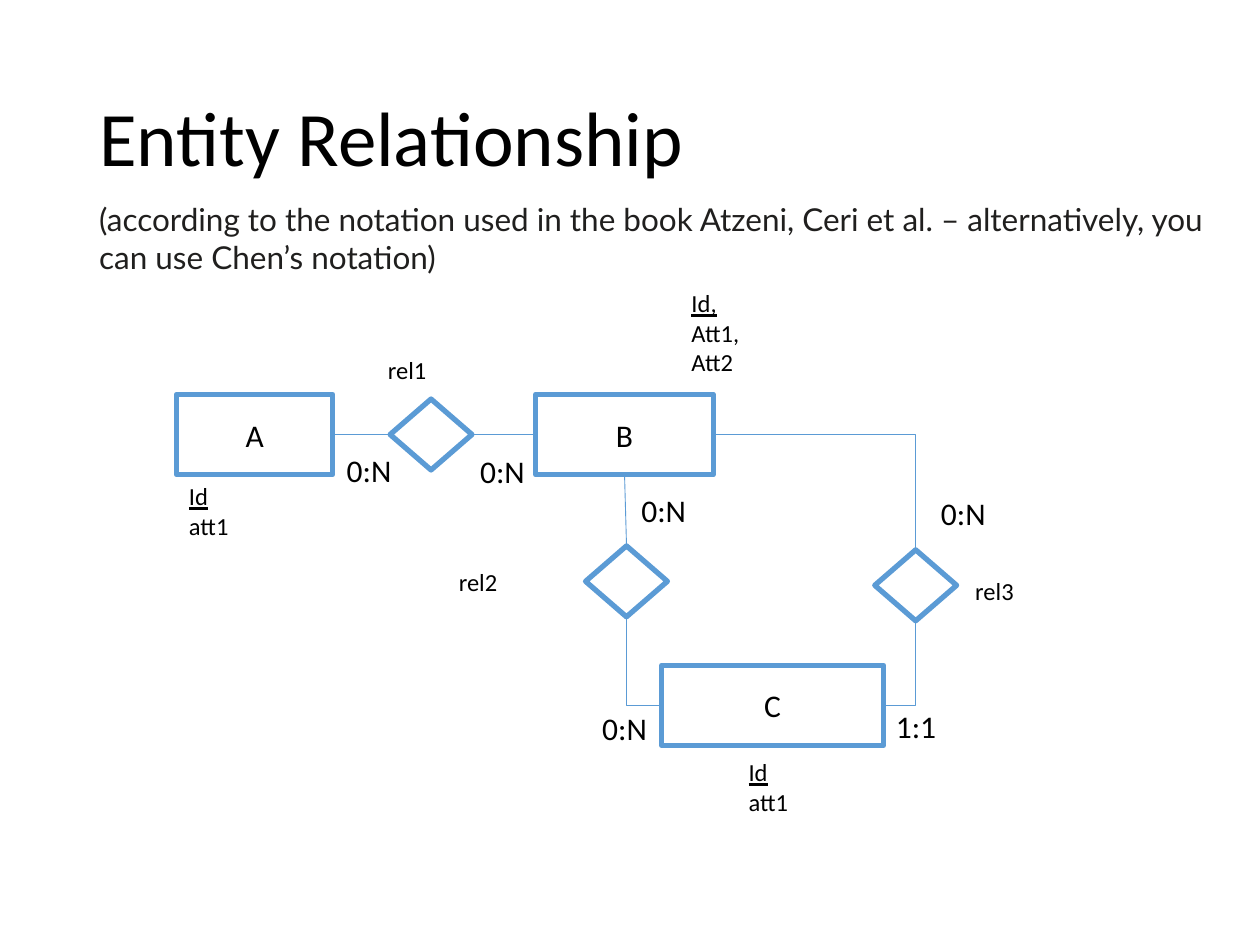
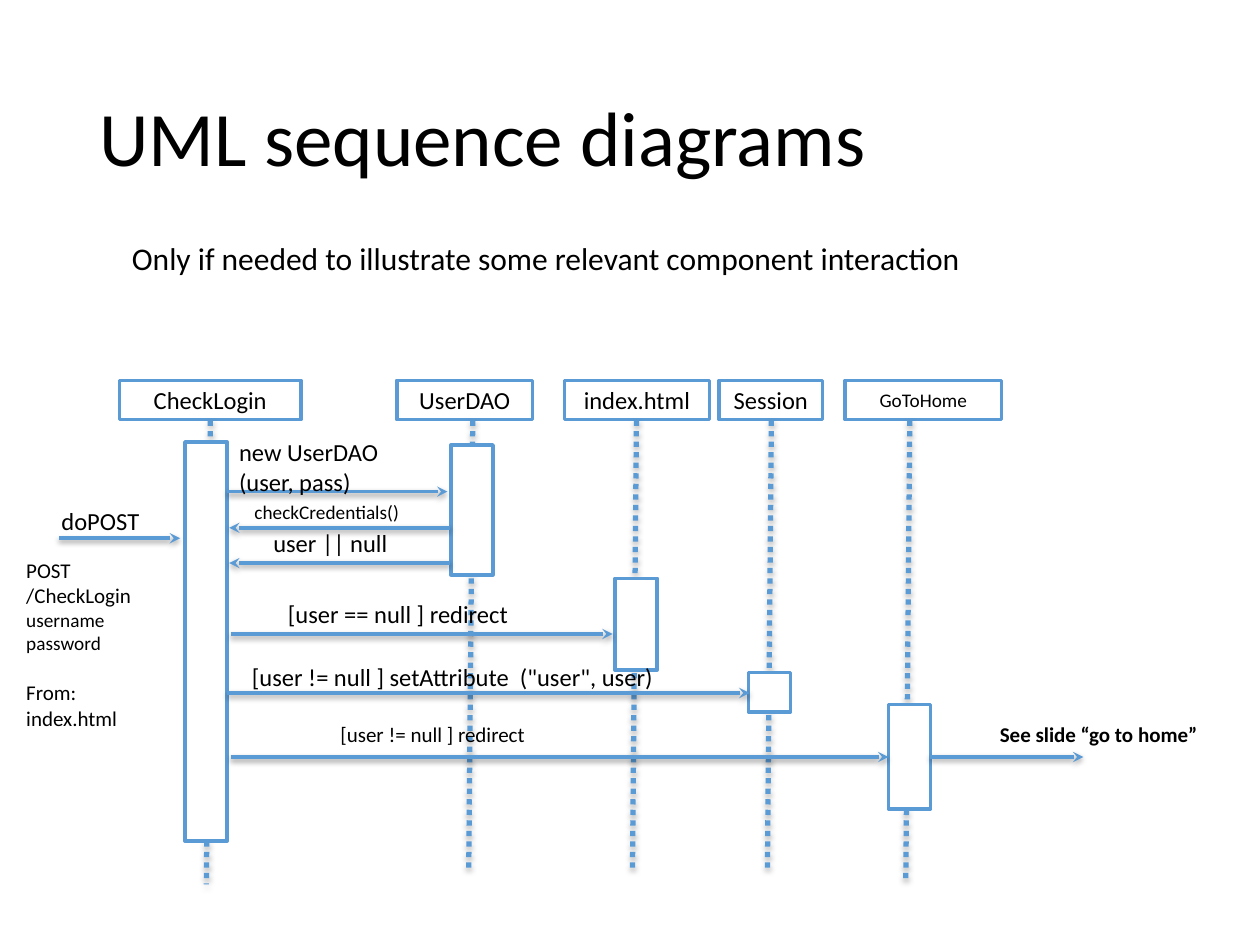
from lxml.etree import SubElement as Sub
from pptx import Presentation
from pptx.dml.color import RGBColor
from pptx.enum.dml import MSO_LINE as Dash
from pptx.enum.shapes import MSO_CONNECTOR as Link, MSO_SHAPE as Form
from pptx.enum.text import MSO_ANCHOR as Anchor, PP_ALIGN as Align
from pptx.oxml.ns import qn
from pptx.util import Cm, Pt

BLUE, BLACK, WHITE, DARK = "5B9BD5", "000000", "FFFFFF", "201F1E"
TOP, LEFT, BASE, RIGHT = range(4)  # connection sites
BAR = 0.85


def color(code):
    """Turn a hex string into a colour."""
    return RGBColor.from_string(code)


def write(shape, lines, size=18, font="Calibri", ink=BLACK, bold=False,
          under=False, align=Align.LEFT, anchor=Anchor.TOP, wrap=True,
          gap=0, space=None):
    """Fill a shape with paragraphs; a line may be (text, own format)."""
    frame = shape.text_frame
    frame.word_wrap = wrap
    frame.vertical_anchor = anchor
    for i, line in enumerate([lines] if isinstance(lines, str) else lines):
        text, own = (line, {}) if isinstance(line, str) else line
        para = frame.paragraphs[0] if i == 0 else frame.add_paragraph()
        para.text = text
        para.alignment = align
        para.space_before = Pt(own.get("gap", gap))
        if space:
            para.line_spacing = space
        for run in para.runs:
            run.font.name = font
            run.font.size = Pt(own.get("size", size))
            run.font.bold = bold
            run.font.underline = own.get("under", under)
            run.font.color.rgb = color(ink)


def label(slide, x, y, w, h, lines, **form):
    """Add a text box."""
    write(slide.shapes.add_textbox(Cm(x), Cm(y), Cm(w), Cm(h)), lines, **form)


def block(slide, x, y, w, h, text="", form=Form.RECTANGLE, line=2, size=18):
    """Add a white shape with a blue outline and centred text."""
    shape = slide.shapes.add_shape(form, Cm(x), Cm(y), Cm(w), Cm(h))
    shape.shadow.inherit = False
    shape.fill.solid()
    shape.fill.fore_color.rgb = color(WHITE)
    shape.line.color.rgb = color(BLUE)
    shape.line.width = Pt(line)
    if text:
        write(shape, text, size=size, align=Align.CENTER, anchor=Anchor.MIDDLE)
    return shape


def stroke(slide, x1, y1, x2, y2, width, kind=Link.STRAIGHT):
    """Add a blue connector without shadow; return it and its effect list."""
    link = slide.shapes.add_connector(kind, Cm(x1), Cm(y1), Cm(x2), Cm(y2))
    link.line.color.rgb = color(BLUE)
    link.line.width = Pt(width)
    return link, Sub(link._element.spPr, qn("a:effectLst"))


def shade(effects, dist, alpha):
    """Put a soft shadow below a line."""
    outer = Sub(effects, qn("a:outerShdw"), blurRad="40000", dist=str(dist),
                dir="5400000", rotWithShape="0")
    tint = Sub(outer, qn("a:srgbClr"), val=BLACK)
    Sub(tint, qn("a:alpha"), val=str(alpha * 1000))


def wire(slide, start, site, end, goal, bent=False):
    """Join two shapes at their sites, straight or with one corner."""
    link, _ = stroke(slide, 0, 0, 0, 0, 0.5,
                     Link.ELBOW if bent else Link.STRAIGHT)
    link.begin_connect(start, site)
    link.end_connect(end, goal)
    if bent:
        geom = link._element.spPr.find(qn("a:prstGeom"))
        geom.set("prst", "bentConnector2")


def arrow(slide, x1, x2, y):
    """Draw a level message arrow."""
    link, effects = stroke(slide, x1, y, x2, y, 2)
    Sub(link.line._get_or_add_ln(), qn("a:tailEnd"), type="stealth")
    shade(effects, 20000, 38)


def page(deck, title):
    """Add a slide with the shared title style."""
    slide = deck.slides.add_slide(deck.slide_layouts[5])
    head = slide.shapes.title
    head.left, head.top = Cm(1.75), Cm(1.02)
    head.width, head.height = Cm(21.89), Cm(3.68)
    write(head, title, size=44, anchor=Anchor.MIDDLE, space=0.9)
    return slide


def model(slide, left, top):
    """Draw the entity relationship diagram from its top left entity."""
    def entity(name, x, y, w):
        return block(slide, left + x, top + y, w, 1.62, name, line=3)

    def relation(x, y):
        w, h = 1.65, 1.43
        return block(slide, left + x - w / 2, top + y - h / 2, w, h,
                     form=Form.DIAMOND, line=3)

    a = entity("A", 0, 0, 3.15)
    b = entity("B", 7.24, 0, 3.58)
    c = entity("C", 9.78, 5.46, 4.47)
    rel1, rel2, rel3 = [relation(x, y) for x, y in
                        ((5.13, 0.81), (9.07, 3.77), (14.9, 3.85))]
    wire(slide, a, RIGHT, rel1, LEFT)
    wire(slide, rel1, RIGHT, b, LEFT)
    wire(slide, b, BASE, rel2, TOP)
    wire(slide, c, LEFT, rel2, BASE, bent=True)
    wire(slide, b, RIGHT, rel3, TOP, bent=True)
    wire(slide, c, RIGHT, rel3, BASE, bent=True)

    for text, x, y in (("0:N", 3.18, 1.02), ("0:N", 5.87, 1.04),
                       ("0:N", 9.12, 1.83), ("0:N", 8.33, 6.22),
                       ("0:N", 15.16, 1.88), ("1:1", 14.25, 6.17)):
        label(slide, left + x, top + y, 1.42, 1.02, text, wrap=False)
    for text, x, y in (("rel1", 4.01, -0.91), ("rel2", 5.44, 3.35),
                       ("rel3", 15.85, 3.53)):
        label(slide, left + x, top + y, 1.3, 0.86, text, size=14, wrap=False)
    for key, rest, x, y, w, h in (
            ("Id", ["att1"], 0, 1.63, 2.79, 1.45),
            ("Id,", ["Att1,", "Att2"], 10.13, -2.26, 4.93, 2.64),
            ("Id", ["att1"], 11.28, 7.19, 2.79, 1.45)):
        label(slide, left + x, top + y, w, h,
              [(key, {"under": True})] + rest, size=14)


def actor(slide, left, top, name, x, w, size, life, end, bar, y, h):
    """Draw one participant: head, dotted lifeline and activity bar."""
    block(slide, left + x, top, w, 0.79, name, size=size)
    link, effects = stroke(slide, left + life, top + 0.81,
                           left + life - 0.08, top + end, 3)
    link.line.dash_style = Dash.ROUND_DOT
    shade(effects, 23000, 35)
    block(slide, left + bar, top + y, BAR, h)


def sequence(slide, left, top):
    """Draw the sequence diagram from its top left corner."""
    for part in (
            ("CheckLogin", 2.13, 3.66, 14, 3.96, 10.16, 3.45, 1.24, 8.05),
            ("UserDAO", 7.72, 2.74, 14, 9.25, 9.86, 8.81, 1.3, 2.62),
            ("index.html", 11.1, 2.92, 14, 12.55, 9.86, 12.12, 3.99, 1.85),
            ("Session", 14.22, 2.08, 14, 15.27, 9.86, 14.81, 5.89, 0.79),
            ("GoToHome", 16.76, 3.15, 11, 18.06, 10.06, 17.63, 6.53, 2.11)):
        actor(slide, left, top, *part)

    mid = {"align": Align.CENTER}
    small = {"size": 12, **mid}
    # text, arrow start, end and height, label left, top and width, format
    for text, x1, x2, y, x, rise, w, form in (
            ("doPOST", 0.91, 3.35, 3.18, 0.71, 2.41, 2.54, {}),
            ("new UserDAO\v(user, pass)", 4.29, 8.74, 2.24,
             4.29, 1.02, 4.78, {}),
            ("checkCredentials()", 8.79, 4.34, 2.97,
             4.6, 2.29, 4.47, {"size": 11}),
            ("user || null", 8.79, 4.34, 3.68, 4.98, 2.84, 3.15, {}),
            ("[user == null ] redirect", 4.37, 12.07, 5.11,
             4.8, 4.29, 5.89, mid),
            ("[user != null ] setAttribute  (\"user\", user)",
             4.29, 14.83, 6.3, 4.55, 5.56, 8.66, {}),
            ("[user != null ] redirect", 4.37, 17.63, 7.59,
             4.47, 6.76, 7.95, small),
            ("See slide “go to home”", 18.47, 21.56, 7.59,
             18.72, 6.76, 6.3, {"bold": True, **small})):
        arrow(slide, left + x1, left + x2, top + y)
        label(slide, left + x, top + rise, w, 0.76, text,
              **{"size": 14, **form})

    label(slide, left, top + 3.45, 3.35, 5.87,
          ["POST", "/CheckLogin", ("username", {"size": 11}),
           ("password", {"size": 11}), ("From: index.html", {"gap": 14.6})],
          size=12)


deck = Presentation()
deck.slide_width, deck.slide_height = Cm(25.4), Cm(19.05)

slide = page(deck, "Entity Relationship")
label(slide, 1.75, 3.91, 22.86, 1.8,
      "(according to the notation used in the book Atzeni, Ceri et al. – "
      "alternatively, you can use Chen’s notation)", font="Lato", ink=DARK)
model(slide, 3.56, 7.95)

slide = page(deck, "UML sequence diagrams")
label(slide, 2.41, 4.7, 17.4, 1.02, "Only if needed to illustrate some "
      "relevant component interaction", wrap=False)
sequence(slide, 0.28, 7.67)

deck.save("out.pptx")
